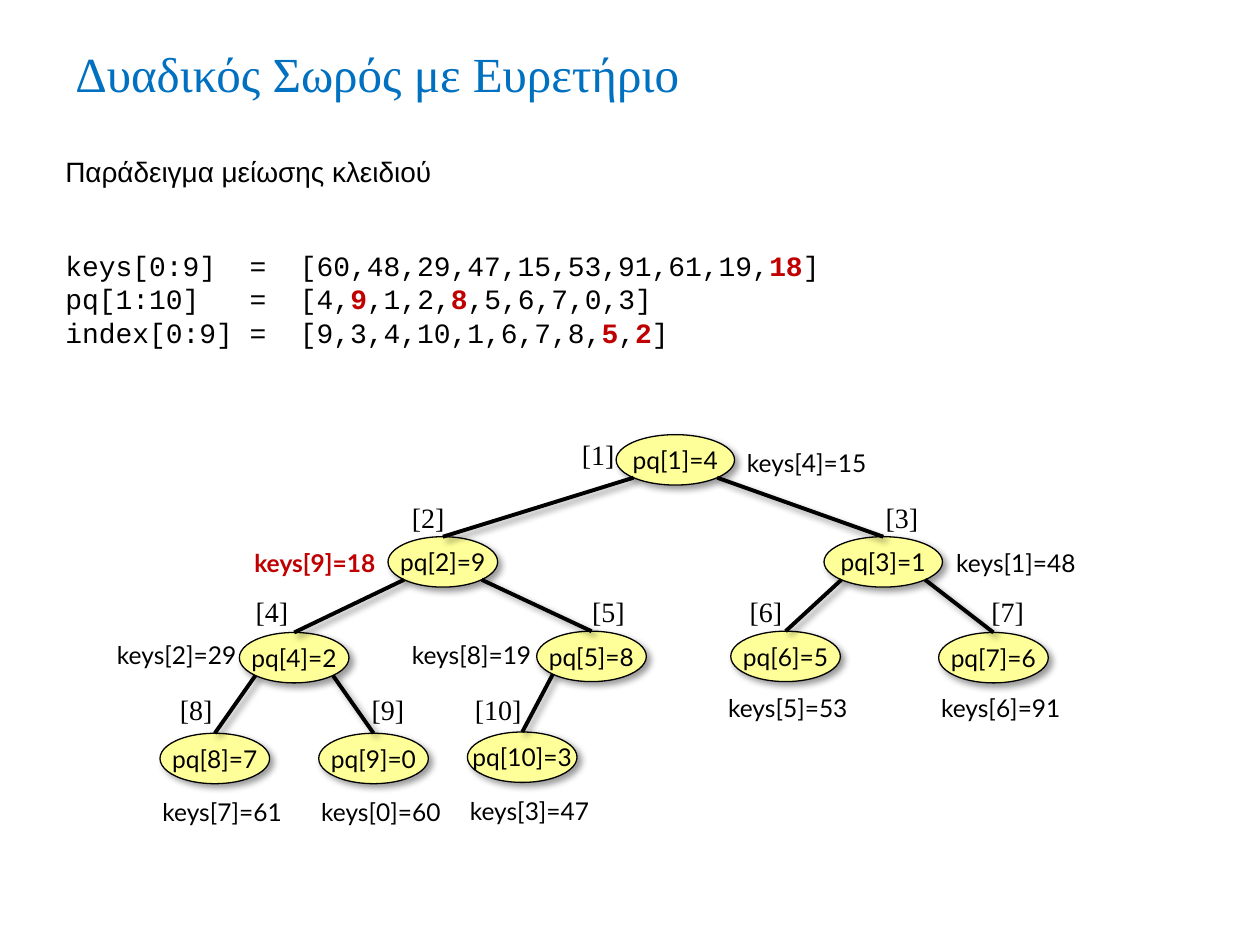
from math import sqrt

from lxml.etree import SubElement
from pptx import Presentation
from pptx.dml.color import RGBColor
from pptx.enum.shapes import MSO_CONNECTOR, MSO_SHAPE
from pptx.enum.text import MSO_ANCHOR, MSO_AUTO_SIZE, PP_ALIGN
from pptx.oxml.ns import qn
from pptx.util import Inches, Pt

BLACK = RGBColor(0x00, 0x00, 0x00)
RED = RGBColor(0xC0, 0x00, 0x00)
BLUE = RGBColor(0x00, 0x70, 0xC0)
YELLOW = RGBColor(0xFF, 0xFF, 0x99)

COLUMNS, ROWS = 100, 75
NODE_HEIGHT = 4

TITLE = {"name": "Times New Roman", "size": Pt(28), "color": BLUE}
SUBTITLE = {"name": "Arial", "size": Pt(16), "color": BLACK}
CODE = {"name": "Courier New", "size": Pt(16), "color": BLACK}
POSITION = {"name": "Times New Roman", "size": Pt(16), "color": BLACK}
NODE = {"name": "Lato", "size": Pt(14), "color": BLACK}
CHANGED = {"color": RED, "bold": True}

KEYS = [60, 48, 29, 47, 15, 53, 91, 61, 19, 18]
PQ = [4, 9, 1, 2, 8, 5, 6, 7, 0, 3]
INDEX = [PQ.index(key) + 1 for key in range(len(KEYS))]
ARRAYS = [
    ("keys[0:9]  =  ", KEYS, {9}),
    ("pq[1:10]   =  ", PQ, {1, 4}),
    ("index[0:9] =  ", INDEX, {8, 9}),
]

POSITION_ROWS = [34.2, 39.2, 46.7, 54.5]
HEAP_FIELDS = ("left", "top", "width", "position_left", "key_left", "key_top")
HEAP = [
    (48.9, 34.5, 9.4, 45.2, 58.3, 35.1),
    (30.8, 42.6, 8.7, 31.7, 19.2, 43.0),
    (65.4, 42.6, 9.4, 69.3, 74.9, 43.0),
    (19.0, 50.2, 8.7, 19.3, 8.3, 50.3),
    (42.6, 50.1, 8.7, 46.0, 31.7, 50.3),
    (58.0, 50.1, 8.7, 58.5, 56.8, 54.5),
    (74.5, 50.2, 8.7, 77.7, 73.7, 54.5),
    (12.7, 58.2, 8.7, 13.3, 11.9, 62.8),
    (25.3, 58.2, 8.7, 28.5, 24.5, 62.8),
    (37.1, 58.1, 8.7, 36.7, 36.3, 62.7),
]


class HeapSlide:
    def __init__(self, deck):
        self.slide = deck.slides.add_slide(deck.slide_layouts[6])
        self.column = deck.slide_width / COLUMNS
        self.row = deck.slide_height / ROWS

    def place(self, left, top, width, height):
        return [round(length * unit) for length, unit in
                zip((left, top, width, height), (self.column, self.row) * 2)]

    def add_words(self, paragraph, words, style):
        run = paragraph.add_run()
        run.text = words
        for attribute, value in style.items():
            if attribute == "color":
                run.font.color.rgb = value
            else:
                setattr(run.font, attribute, value)

    def cast_shadow(self, element):
        effects = SubElement(element._element.spPr, qn("a:effectLst"))
        shadow = SubElement(effects, qn("a:outerShdw"), blurRad=str(Pt(4)),
                            dist=str(Pt(3)), dir=str(45 * 60000), algn="tl", rotWithShape="0")
        tint = SubElement(shadow, qn("a:srgbClr"), val=str(BLACK))
        SubElement(tint, qn("a:alpha"), val="40000")

    def text(self, box, lines, style, wrap=True, spacing=None):
        frame = self.slide.shapes.add_textbox(*self.place(*box)).text_frame
        frame.word_wrap = wrap
        frame.auto_size = MSO_AUTO_SIZE.SHAPE_TO_FIT_TEXT
        for number, line in enumerate(lines):
            paragraph = frame.add_paragraph() if number else frame.paragraphs[0]
            paragraph.line_spacing = spacing
            for words, emphasis in line:
                self.add_words(paragraph, words, {**style, **emphasis})

    def node(self, left, top, width, label):
        oval = self.slide.shapes.add_shape(
            MSO_SHAPE.OVAL, *self.place(left, top, width, NODE_HEIGHT))
        oval.fill.solid()
        oval.fill.fore_color.rgb = YELLOW
        oval.line.color.rgb = BLACK
        oval.line.width = Pt(0.75)
        self.cast_shadow(oval)
        frame = oval.text_frame
        frame.word_wrap = False
        frame.vertical_anchor = MSO_ANCHOR.MIDDLE
        frame.paragraphs[0].alignment = PP_ALIGN.CENTER
        self.add_words(frame.paragraphs[0], label, NODE)
        return oval

    def edge(self, parent, child, side):
        reach = 1 / sqrt(8)
        start_x = parent.left + round(parent.width * (0.5 + side * reach))
        start_y = parent.top + round(parent.height * (0.5 + reach))
        branch = self.slide.shapes.add_connector(
            MSO_CONNECTOR.STRAIGHT, start_x, start_y,
            child.left + child.width // 2, child.top)
        branch.end_connect(child, 0)
        branch.line.color.rgb = BLACK
        branch.line.width = Pt(2.25)
        self.cast_shadow(branch)


def array_line(name, values, changed):
    line = [(name + "[", {})]
    for place, value in enumerate(values):
        if place:
            line.append((",", {}))
        line.append((str(value), CHANGED if place in changed else {}))
    return line + [("]", {})]


def main():
    deck = Presentation()
    deck.slide_width, deck.slide_height = Inches(10), Inches(7.5)
    page = HeapSlide(deck)
    page.text((5, 3, 90, 5.3), [[("Δυαδικός Σωρός με Ευρετήριο", {})]], TITLE)
    page.text((4.2, 10.8, 91.7, 4.4), [[("Παράδειγμα μείωσης κλειδιού", {})]],
              SUBTITLE, spacing=Pt(26))
    page.text((4.2, 19.2, 80.8, 9.1), [array_line(*array) for array in ARRAYS], CODE)

    nodes = {}
    for number, spot in enumerate(HEAP, 1):
        at = dict(zip(HEAP_FIELDS, spot))
        key = PQ[number - 1]
        nodes[number] = page.node(at["left"], at["top"], at["width"], f"pq[{number}]={key}")
        if number > 1:
            page.edge(nodes[number // 2], nodes[number], 1 if number % 2 else -1)
        moved = number == 2
        page.text((at["key_left"], at["key_top"], 12.3 if moved else 11.5, 3.4),
                  [[(f"keys[{key}]={KEYS[key]}", CHANGED if moved else {})]], NODE, wrap=False)
        position_top = POSITION_ROWS[number.bit_length() - 1]
        page.text((at["position_left"], position_top, 6.1 if number > 9 else 4.8, 3.7),
                  [[(f"[{number}]", {})]], POSITION, wrap=False)

    deck.save("out.pptx")


if __name__ == "__main__":
    main()
